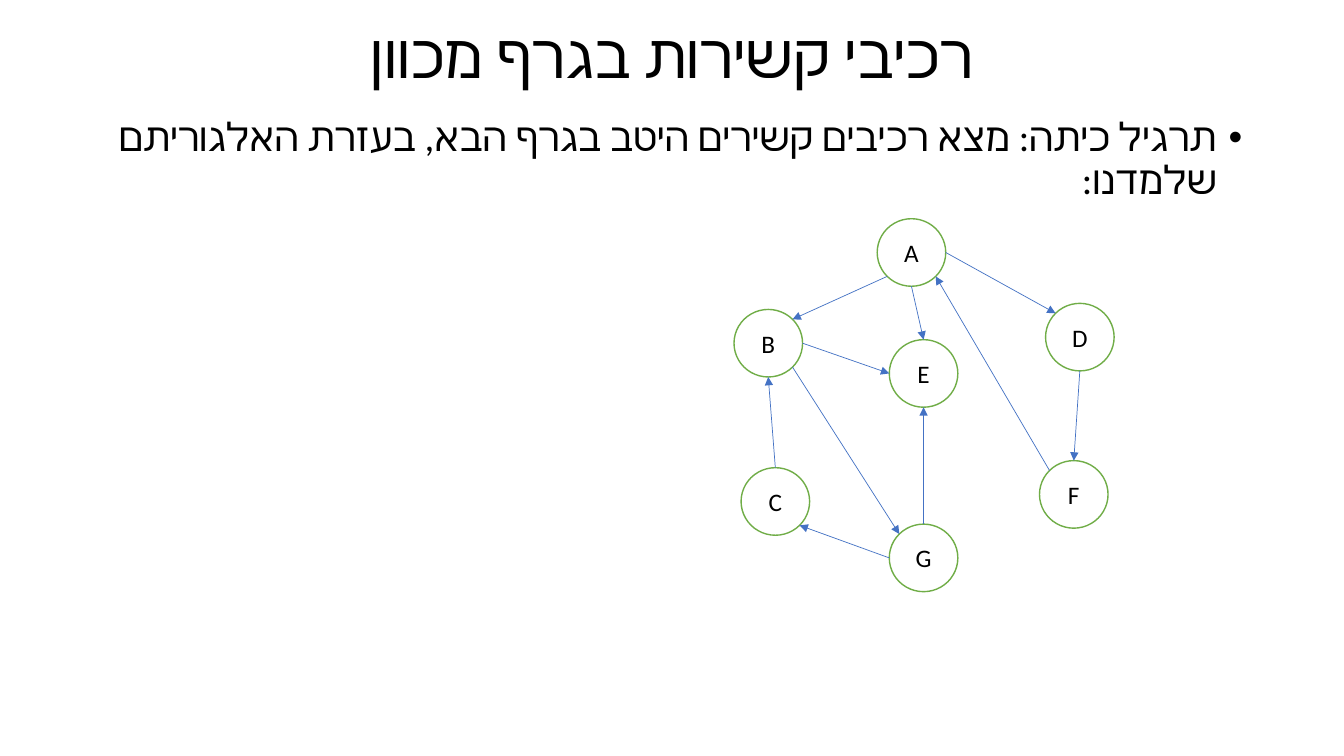
from math import cos, pi, sin

from lxml import etree
from pptx import Presentation
from pptx.dml.color import RGBColor
from pptx.enum import shapes, text
from pptx.oxml.ns import qn
from pptx.util import Inches, Pt

TITLE = "רכיבי קשירות בגרף מכוון"
EXERCISE = "תרגיל כיתה: מצא רכיבים קשירים היטב בגרף הבא, בעזרת האלגוריתם שלמדנו:"

# Left and top of each vertex, in inches
VERTICES = {
    "E": (8.82, 3.37),
    "A": (8.7, 2.17),
    "B": (7.28, 3.07),
    "D": (10.37, 3.01),
    "C": (7.35, 4.64),
    "F": (10.31, 4.57),
    "G": (8.82, 5.2),
}
VERTEX_W, VERTEX_H = 0.68, 0.67

# Connection sites of an ellipse, counter-clockwise from the top
SITES = ["top", "top left", "left", "bottom left",
         "bottom", "bottom right", "right", "top right"]
EDGES = [
    ("A", "bottom left", "B", "top right"),
    ("B", "right", "E", "left"),
    ("A", "bottom", "E", "top"),
    ("C", "top", "B", "bottom"),
    ("A", "right", "D", "top left"),
    ("G", "left", "C", "bottom right"),
    ("F", "top left", "A", "bottom right"),
    ("G", "top", "E", "bottom"),
    ("B", "bottom right", "G", "top left"),
    ("D", "bottom", "F", "top"),
]

TITLE_BOX = (0.92, 0, 11.5, 1.16)
BODY_BOX = (0.92, 1.12, 11.5, 5.63)
BLACK, WHITE, GREEN, BLUE = "000000", "FFFFFF", "70AD47", "4472C4"
CENTER, RIGHT = text.PP_ALIGN.CENTER, text.PP_ALIGN.RIGHT
MIDDLE, TOP = text.MSO_ANCHOR.MIDDLE, text.MSO_ANCHOR.TOP


def color(value):
    return RGBColor.from_string(value)


def assign(target, values):
    for name, value in values.items():
        setattr(target, name, value)


def add_xml(parent, tag, **attributes):
    return etree.SubElement(parent, qn(tag), attributes)


def write(shape, words, size, anchor, paragraph_format):
    frame = shape.text_frame
    assign(frame, {"word_wrap": True, "vertical_anchor": anchor,
                   "auto_size": text.MSO_AUTO_SIZE.NONE})
    paragraph = frame.paragraphs[0]
    assign(paragraph, paragraph_format)
    run = paragraph.add_run()
    run.text = words
    assign(run.font, {"size": Pt(size), "name": "Calibri"})
    run.font.color.rgb = color(BLACK)
    add_xml(run.font._element, "a:cs", typeface="Calibri")
    return paragraph._p.get_or_add_pPr()


def fill_placeholder(placeholder, box, *content):
    assign(placeholder, dict(zip(("left", "top", "width", "height"), map(Inches, box))))
    properties = write(placeholder, *content)
    properties.set("rtl", "1")
    return properties


def add_vertex(slide, name, left, top):
    vertex = slide.shapes.add_shape(
        shapes.MSO_SHAPE.OVAL, *map(Inches, (left, top, VERTEX_W, VERTEX_H)))
    vertex.shadow.inherit = False
    vertex.fill.solid()
    vertex.fill.fore_color.rgb = color(WHITE)
    vertex.line.color.rgb = color(GREEN)
    vertex.line.width = Pt(1)
    write(vertex, name, 18, MIDDLE, {"alignment": CENTER})
    return vertex


def site_point(name, site):
    left, top = VERTICES[name]
    angle = SITES.index(site) * pi / 4
    return (Inches(left + VERTEX_W / 2 * (1 - sin(angle))),
            Inches(top + VERTEX_H / 2 * (1 - cos(angle))))


def add_edge(slide, vertices, source, source_site, target, target_site):
    edge = slide.shapes.add_connector(
        shapes.MSO_CONNECTOR.STRAIGHT,
        *site_point(source, source_site), *site_point(target, target_site))
    edge.line.color.rgb = color(BLUE)
    edge.line.width = Pt(0.5)
    add_xml(edge.line._get_or_add_ln(), "a:tailEnd", type="triangle")
    add_xml(edge._element.spPr, "a:effectLst")
    glue = edge._element.find(".//" + qn("p:cNvCxnSpPr"))
    for tag, name, site in (("a:stCxn", source, source_site),
                            ("a:endCxn", target, target_site)):
        add_xml(glue, tag, id=str(vertices[name].shape_id), idx=str(SITES.index(site)))


def main():
    deck = Presentation()
    assign(deck, {"slide_width": Inches(13.33), "slide_height": Inches(7.5)})
    slide = deck.slides.add_slide(deck.slide_layouts[1])

    fill_placeholder(slide.shapes.title, TITLE_BOX, TITLE, 44, MIDDLE,
                     {"alignment": CENTER, "line_spacing": 0.9})
    bullet = fill_placeholder(
        slide.placeholders[1], BODY_BOX, EXERCISE, 28, TOP,
        {"alignment": RIGHT, "line_spacing": 0.9, "space_before": Pt(10)})
    indent = Inches(0.25)
    bullet.set("marL", str(indent))
    bullet.set("indent", str(-indent))
    add_xml(bullet, "a:buFont", typeface="Arial")
    add_xml(bullet, "a:buChar", char="•")

    vertices = {name: add_vertex(slide, name, *corner)
                for name, corner in VERTICES.items()}
    for edge in EDGES:
        add_edge(slide, vertices, *edge)
    deck.save("out.pptx")


if __name__ == "__main__":
    main()
